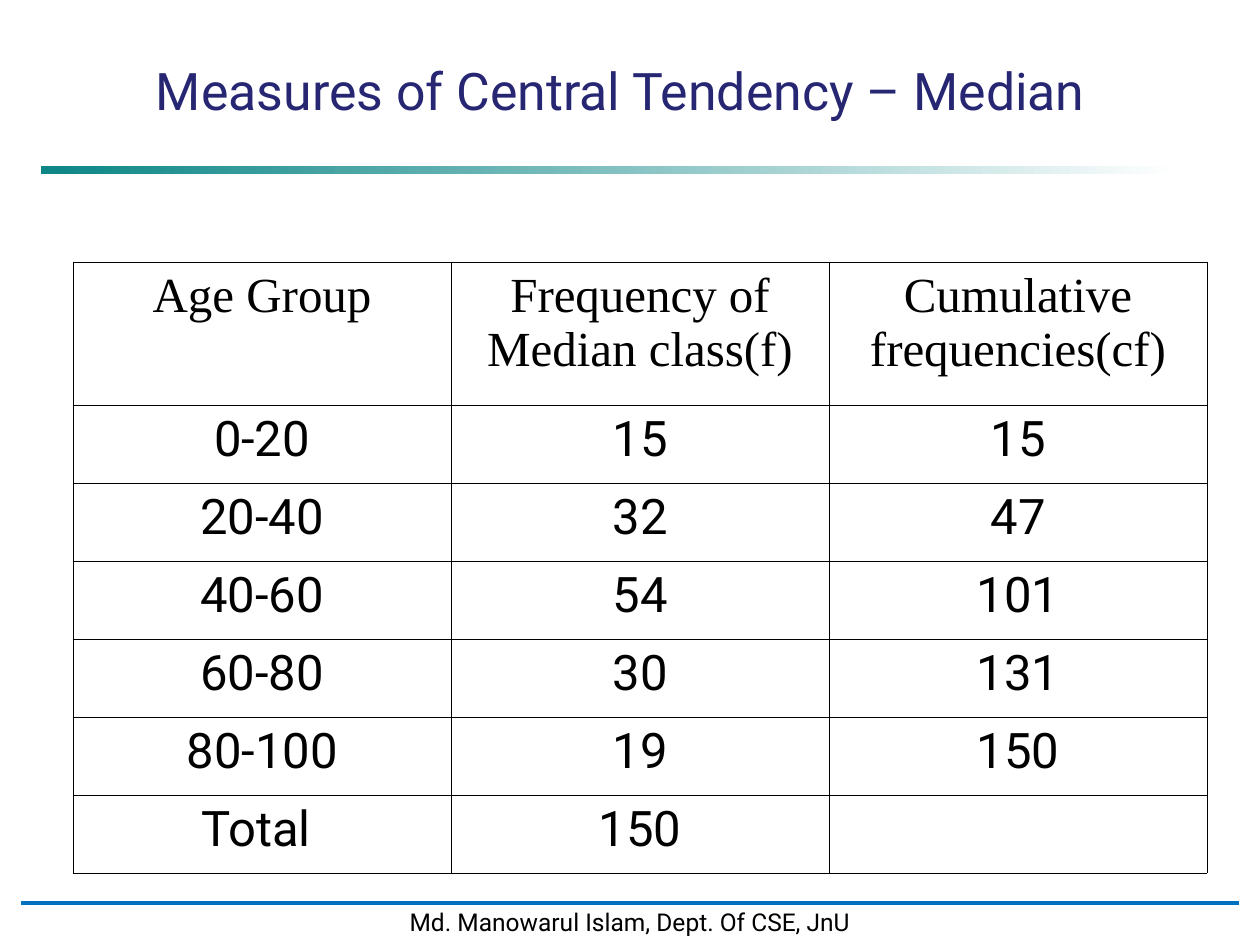
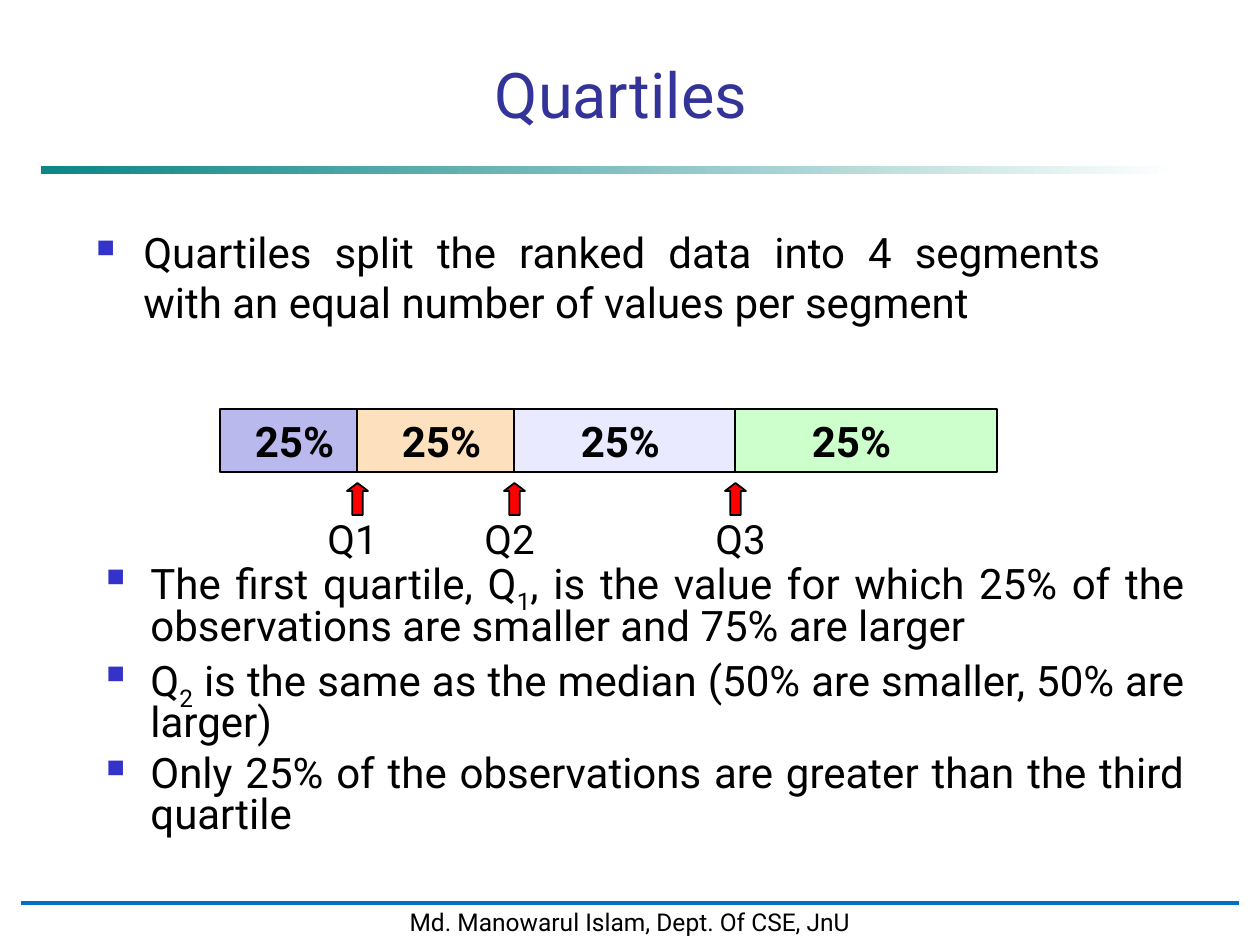
from lxml import etree
from pptx import Presentation
from pptx.dml.color import RGBColor
from pptx.enum import shapes, text
from pptx.oxml import ns
from pptx import util as u

PX_PER_INCH = 126
FONT, SERIF = "Roboto", "Times New Roman"
BLACK, WHITE = "000000", "FFFFFF"
TEAL, BLUE, RED = "008080", "0070C0", "FF0000"
BULLET = "3333CC"
LEFT, CENTER, JUSTIFY = text.PP_ALIGN.LEFT, text.PP_ALIGN.CENTER, text.PP_ALIGN.JUSTIFY
TOP, BOTTOM = text.MSO_ANCHOR.TOP, text.MSO_ANCHOR.BOTTOM
TITLE_BOX = (84, 53, 1074, 84)

AGE_ROWS = [
    ("Age Group", "Frequency of Median class(f)", "Cumulative frequencies(cf)"),
    ("0-20", "15", "15"),
    ("20-40", "32", "47"),
    ("40-60", "54", "101"),
    ("60-80", "30", "131"),
    ("80-100", "19", "150"),
    ("Total ", "150", ""),
]

# left, width, colour, left of the percentage
SEGMENTS = [
    (220, 159, "B9B9ED", 231),
    (357, 157, "FDE0BD", 378),
    (514, 242, "E9E9FF", 557),
    (735, 262, "CCFFCC", 788),
]
QUARTILE_LABELS = [("Q1", 315), ("Q2", 472), ("Q3", 703)]

# Every second piece of a paragraph is a subscript
SPLIT_NOTE = [["Quartiles split the ranked data into 4 segments "
               "with an equal number of values per segment"]]
QUARTILE_NOTES = [
    ["The first quartile, Q", "1", ", is the value for which 25% of the "
     "observations are smaller and 75% are larger"],
    ["Q", "2", " is the same as the median (50% are smaller, 50% are larger)"],
    ["Only 25% of the observations are greater than the third quartile"],
]


def px(*lengths):
    return [u.Emu(round(n * u.Inches(1) / PX_PER_INCH)) for n in lengths]


def rgb(value):
    return RGBColor.from_string(value)


def add_xml(parent, tag, **attributes):
    return etree.SubElement(parent, ns.qn(tag), attributes)


def add_bullet(paragraph, indent):
    props = paragraph._p.get_or_add_pPr()
    offset = px(indent)[0]
    props.set("marL", str(offset))
    props.set("indent", str(-offset))
    add_xml(add_xml(props, "a:buClr"), "a:srgbClr", val=BULLET)
    add_xml(props, "a:buSzPct", val="60000")
    add_xml(props, "a:buChar", char="■")


def write(frame, paragraphs, size=24, font=FONT, color=BLACK, bold=False,
          align=CENTER, spacing=None, before=0, indent=0):
    """Fill a text frame; paragraphs is a string or a list of piece lists."""
    if isinstance(paragraphs, str):
        paragraphs = [[paragraphs]]
    for number, pieces in enumerate(paragraphs):
        paragraph = frame.add_paragraph() if number else frame.paragraphs[0]
        paragraph.alignment = align
        if spacing:
            paragraph.line_spacing = spacing
        if number and before:
            paragraph.space_before = u.Pt(before)
        if indent:
            add_bullet(paragraph, indent)
        for position, piece in enumerate(pieces):
            run = paragraph.add_run()
            run.text = piece
            run.font.size, run.font.name, run.font.bold = u.Pt(size), font, bold
            run.font.color.rgb = rgb(color)
            if position % 2:
                run.font._element.set("baseline", "-25000")


def add_label(slide, box, content, anchor=TOP, **style):
    frame = slide.shapes.add_textbox(*px(*box)).text_frame
    frame.word_wrap = True
    frame.vertical_anchor = anchor
    write(frame, content, **style)


def add_block(slide, box, fill, line=None, width=1, kind=shapes.MSO_SHAPE.RECTANGLE):
    block = slide.shapes.add_shape(kind, *px(*box))
    block.shadow.inherit = False
    block.fill.solid()
    block.fill.fore_color.rgb = rgb(fill)
    if line:
        block.line.color.rgb = rgb(line)
        block.line.width = u.Pt(width)
    else:
        block.line.fill.background()
    return block


def add_frame(slide):
    """Fading band under the title, and the footer with its rule."""
    band = add_block(slide, (42, 167, 1134, 7), TEAL)
    band.fill.gradient()
    band.fill.gradient_angle = 0
    for stop, color, position in zip(band.fill.gradient_stops, (TEAL, WHITE), (0, 1)):
        stop.color.rgb = rgb(color)
        stop.position = position
    first_color = next(band._element.iter(ns.qn("a:srgbClr")))
    add_xml(first_color, "a:alpha", val="95000")

    footer = add_block(slide, (21, 901, 1218, 42), WHITE, WHITE, 2)
    footer.text_frame.word_wrap = False
    footer.text_frame.vertical_anchor = TOP
    write(footer.text_frame, "Md. Manowarul Islam, Dept. Of CSE, JnU", size=14)

    rule = slide.shapes.add_connector(shapes.MSO_CONNECTOR.STRAIGHT,
                                      *px(21, 903, 1239, 903))
    rule.line.color.rgb = rgb(BLUE)
    rule.line.width = u.Pt(1.75)
    add_xml(rule._element.spPr, "a:effectLst")


def add_cell_borders(cell):
    props = cell._tc.get_or_add_tcPr()
    for index, side in enumerate(("a:lnL", "a:lnR", "a:lnT", "a:lnB")):
        border = etree.Element(ns.qn(side), w=str(u.Pt(0.45)))
        add_xml(add_xml(border, "a:solidFill"), "a:srgbClr", val=BLACK)
        props.insert(index, border)


def add_age_table(slide):
    header_height, row_height = 143, 78
    height = header_height + row_height * (len(AGE_ROWS) - 1)
    table = slide.shapes.add_table(len(AGE_ROWS), 3, *px(73, 262, 1134, height)).table
    for r, values in enumerate(AGE_ROWS):
        table.rows[r].height = px(row_height if r else header_height)[0]
        for c, value in enumerate(values):
            cell = table.cell(r, c)
            cell.fill.solid()
            cell.fill.fore_color.rgb = rgb(WHITE)
            add_cell_borders(cell)
            if value:
                write(cell.text_frame, value, size=28, font=FONT if r else SERIF)


def add_quartile_bar(slide):
    top, height = 409, 63
    for left, width, color, _ in SEGMENTS:
        add_block(slide, (left, top, width, height), color, BLACK)
    for *_, label_left in SEGMENTS:
        add_label(slide, (label_left, top, 127, height), "25%", bold=True)
    # An arrow under the start of each segment after the first
    for (cut, *_), (label, label_left) in zip(SEGMENTS[1:], QUARTILE_LABELS):
        arrow = add_block(slide, (cut - 10, 483, 21, 32), RED, BLACK,
                          kind=shapes.MSO_SHAPE.UP_ARROW)
        arrow.adjustments[0], arrow.adjustments[1] = 0.5, 0.38
        add_label(slide, (label_left, 514, 84, 63), label, size=23,
                  align=LEFT, spacing=0.9)


def median_slide(slide):
    add_frame(slide)
    add_age_table(slide)
    add_label(slide, TITLE_BOX, "Measures of Central Tendency – Median",
              size=29.6, color="262673")


def quartiles_slide(slide):
    add_frame(slide)
    add_label(slide, TITLE_BOX, "Quartiles", anchor=BOTTOM, size=36, color="333399")
    add_label(slide, (84, 220, 1029, 131), SPLIT_NOTE, align=JUSTIFY, indent=47)
    add_quartile_bar(slide)
    add_label(slide, (94, 557, 1103, 305), QUARTILE_NOTES, align=JUSTIFY,
              spacing=0.8, before=6, indent=44)


def main():
    deck = Presentation()
    deck.slide_width, deck.slide_height = px(1260, 945)
    for build in (median_slide, quartiles_slide):
        build(deck.slides.add_slide(deck.slide_layouts[6]))
    deck.save("out.pptx")


if __name__ == "__main__":
    main()
